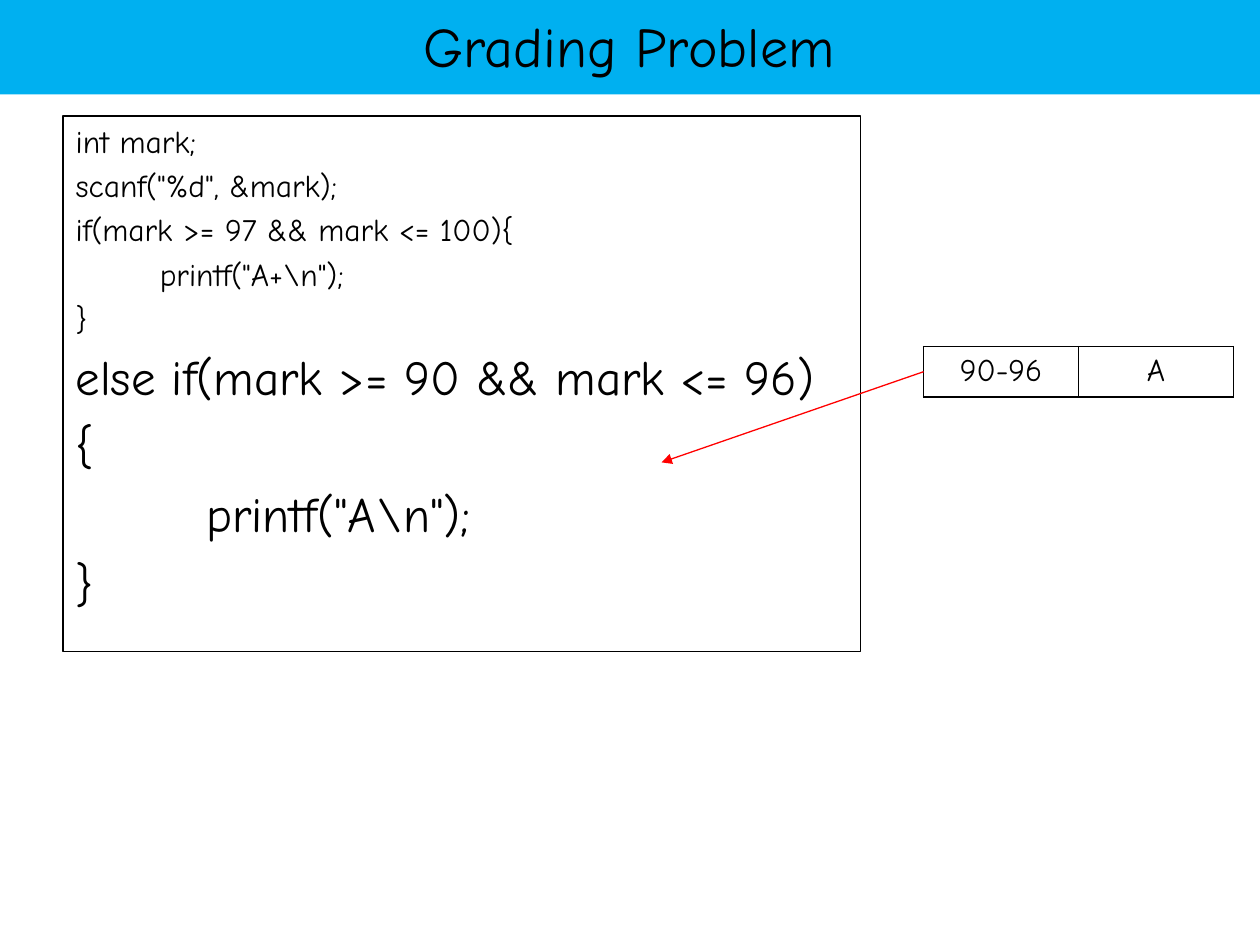
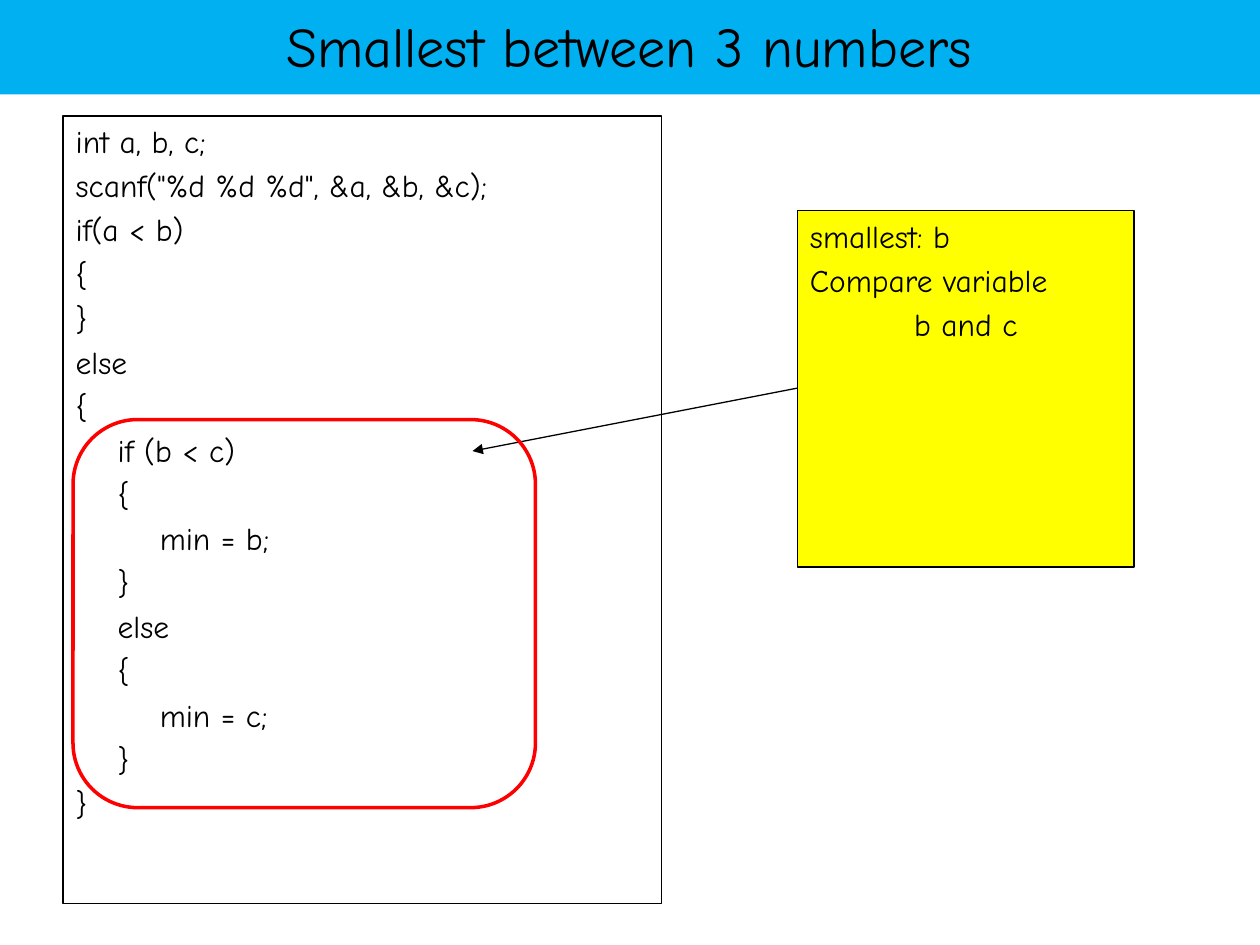
from lxml.etree import SubElement
from pptx import Presentation
from pptx.dml.color import RGBColor
from pptx.enum.shapes import MSO_CONNECTOR as Connector, MSO_SHAPE as Shape
from pptx.enum.text import MSO_ANCHOR as Anchor, MSO_AUTO_SIZE as AutoSize, PP_ALIGN as Align
from pptx.oxml.ns import qn
from pptx.util import Inches, Pt

FONT = "Comic Neue"
BLACK, BAND, RED, YELLOW = "000000", "00B0F0", "FF0000", "FFFF00"
TITLE_SIZE, TEXT_SIZE, FOCUS_SIZE = 32, 18, 28
TITLE_AREA = (-0.01, -0.03, 10.01, 0.78)
CODE_LEFT, CODE_TOP = 0.5, 0.92
INDENT = 0.38

GRADING_CODE = [
    'int mark;',
    'scanf("%d", &mark);',
    'if(mark >= 97 && mark <= 100){',
    '        printf("A+\\n");',
    '}',
]
GRADING_FOCUS = [
    'else if(mark >= 90 && mark <= 96)',
    '{',
    '        printf("A\\n");',
    '}',
]
GRADE_ROW = ["90-96", "A"]
SMALLEST_CODE = [
    'int a, b, c;',
    'scanf("%d %d %d", &a, &b, &c);',
    'if(a < b)',
    '{',
    '}',
    'else',
    '{',
    '    if (b < c)',
    '    {',
    '        min = b;',
    '    }',
    '    else',
    '    {',
    '        min = c;',
    '    }',
    '}',
]
COMPARE_NOTE = [
    ("smallest: b", Align.LEFT),
    ("Compare variable", Align.LEFT),
    ("b and c", Align.CENTER),
]


def color(value):
    return RGBColor.from_string(value)


def inches(values):
    return [Inches(value) for value in values]


def place(shape, area):
    for name, value in zip(("left", "top", "width", "height"), inches(area)):
        setattr(shape, name, value)


def outline(shape, line_color, width=0.75):
    shape.line.color.rgb = color(line_color)
    shape.line.width = Pt(width)


def fill(shape, fill_color):
    shape.fill.solid()
    shape.fill.fore_color.rgb = color(fill_color)


def write(para, text, size=TEXT_SIZE, align=Align.LEFT):
    para.alignment = align
    span = para.add_run()
    span.text = text
    for name, value in {"name": FONT, "size": Pt(size), "bold": False}.items():
        setattr(span.font, name, value)
    span.font.color.rgb = color(BLACK)


def write_lines(shape, lines):
    frame = shape.text_frame
    formats = {"word_wrap": True, "auto_size": AutoSize.NONE, "vertical_anchor": Anchor.TOP}
    for name, value in formats.items():
        setattr(frame, name, value)
    for number, (text, size, align) in enumerate(lines):
        para = frame.add_paragraph() if number else frame.paragraphs[0]
        props = para._p.get_or_add_pPr()
        props.set("marL", str(Inches(INDENT)))
        props.set("indent", str(-Inches(INDENT)))
        space = SubElement(props, qn("a:spcBef"))
        SubElement(space, qn("a:spcPct"), val="20000" if number else "0")
        SubElement(props, qn("a:buNone"))
        write(para, text, size, align)


def add_page(deck, title, lines, code_size):
    page = deck.slides.add_slide(deck.slide_layouts[1])
    band, code = page.placeholders
    place(band, TITLE_AREA)
    fill(band, BAND)
    band.text_frame.auto_size = AutoSize.NONE
    band.text_frame.vertical_anchor = Anchor.MIDDLE
    write(band.text_frame.paragraphs[0], title, TITLE_SIZE, Align.CENTER)
    place(code, (CODE_LEFT, CODE_TOP, *code_size))
    outline(code, BLACK)
    write_lines(code, [(text, size, Align.LEFT) for text, size in lines])
    return page


def add_box(page, kind, area, line_color, width=0.75, fill_color=None):
    box = page.shapes.add_shape(kind, *inches(area))
    box.shadow.inherit = False
    outline(box, line_color, width)
    if fill_color:
        fill(box, fill_color)
    else:
        box.fill.background()
    return box


def add_arrow(page, start, end, line_color):
    arrow = page.shapes.add_connector(Connector.STRAIGHT, *inches(start + end))
    outline(arrow, line_color)
    SubElement(arrow.line._get_or_add_ln(), qn("a:tailEnd"), type="triangle")
    SubElement(arrow._element.spPr, qn("a:effectLst"))


def add_grade_table(page, values, area):
    table = page.shapes.add_table(1, len(values), *inches(area)).table
    table.first_row = table.horz_banding = False
    for cell, value in zip(table.iter_cells(), values):
        write(cell.text_frame.paragraphs[0], value, align=Align.CENTER)
        props = cell._tc.get_or_add_tcPr()
        for side in ("lnL", "lnR", "lnT", "lnB"):
            border = SubElement(props, qn(f"a:{side}"), w=str(Pt(1)))
            solid = SubElement(border, qn("a:solidFill"))
            SubElement(solid, qn("a:srgbClr"), val=BLACK)
        cell.fill.background()


def main():
    """Build the two slides on if-else conditions."""
    deck = Presentation()
    deck.slide_width, deck.slide_height = Inches(10), Inches(7.5)

    lines = [(text, TEXT_SIZE) for text in GRADING_CODE]
    lines += [(text, FOCUS_SIZE) for text in GRADING_FOCUS]
    page = add_page(deck, "Grading Problem", lines, (6.33, 4.25))
    add_grade_table(page, GRADE_ROW, (7.33, 2.75, 2.46, 0.4))
    add_arrow(page, (7.33, 2.95), (5.25, 3.67), RED)

    lines = [(text, TEXT_SIZE) for text in SMALLEST_CODE]
    page = add_page(deck, "Smallest between 3 numbers", lines, (4.75, 6.25))
    note = add_box(page, Shape.RECTANGLE, (6.33, 1.67, 2.67, 2.83), BLACK, fill_color=YELLOW)
    write_lines(note, [(text, TEXT_SIZE, align) for text, align in COMPARE_NOTE])
    add_arrow(page, (6.33, 3.08), (3.75, 3.58), BLACK)
    add_box(page, Shape.ROUNDED_RECTANGLE, (0.58, 3.33, 3.67, 3.08), RED, width=2)

    deck.save("out.pptx")


if __name__ == "__main__":
    main()
